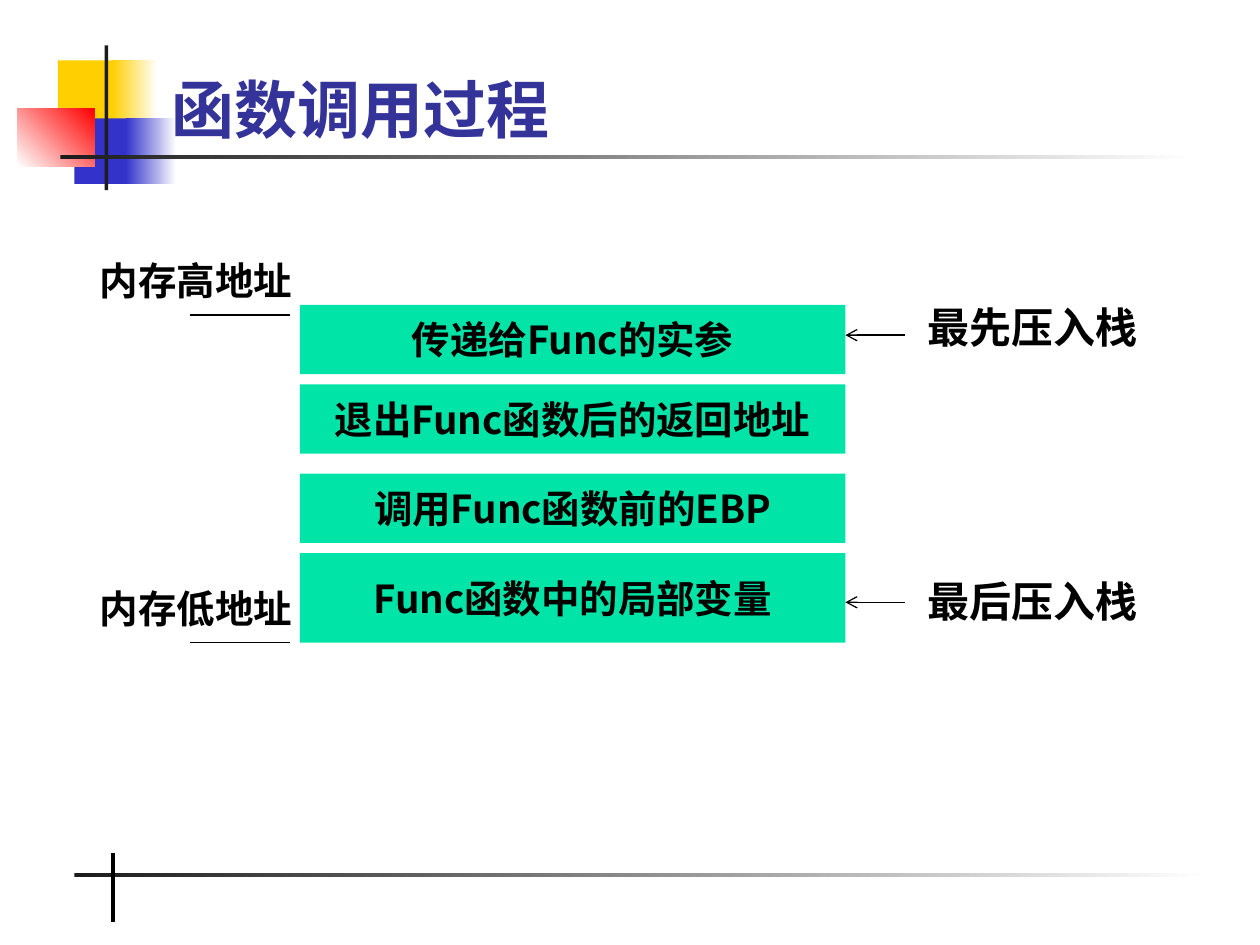
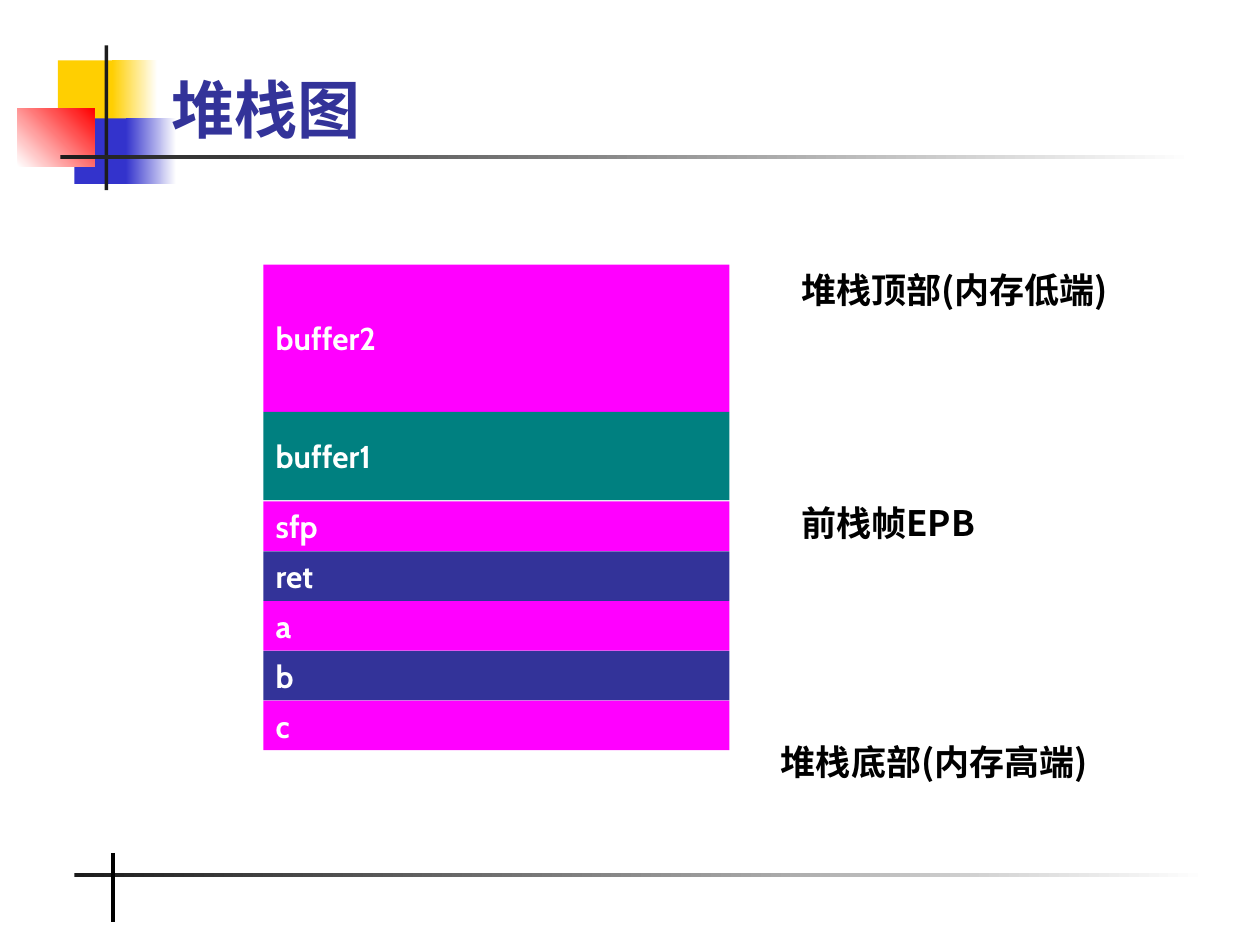
from lxml import etree
from pptx import Presentation
from pptx import util as u
from pptx.dml import color
from pptx.enum import shapes, text
from pptx.oxml import ns

C = {
    "white": "FFFFFF", "black": "000000", "ink": "1C1C1C", "yellow": "FFCF01",
    "blue": "3333CC", "red": "FF0000", "navy": "333399", "mint": "00E4A8",
    "magenta": "FF00FF", "teal": "008080",
}
CJK = "Noto Sans CJK SC"
LATIN = "Cabin"
TITLE_FONT = "Times New Roman"
COLS, ROWS = 100, 75
CELL = u.Inches(10) // COLS
LEFT, CENTER = text.PP_ALIGN.LEFT, text.PP_ALIGN.CENTER
TOP, MIDDLE = text.MSO_ANCHOR.TOP, text.MSO_ANCHOR.MIDDLE


def cells(*counts):
    """Turn grid cells into lengths."""
    return [u.Emu(round(n * CELL)) for n in counts]


def rgb(name):
    """Look up a named colour."""
    return color.RGBColor.from_string(C[name])


def write(shape, words, size, font, ink="black", align=LEFT, anchor=TOP, wrap=True):
    """Put one bold line of text into a shape."""
    tf = shape.text_frame
    tf.word_wrap = wrap
    tf.vertical_anchor = anchor
    p = tf.paragraphs[0]
    p.alignment = align
    r = p.add_run()
    r.text = words
    r.font.size, r.font.bold, r.font.name = u.Pt(size), True, font
    r.font.color.rgb = rgb(ink)
    ea = etree.SubElement(r.font._element, ns.qn("a:ea"))
    ea.set("typeface", CJK)


def block(s, box, fill, fade=None, angle=0):
    """Draw a borderless rectangle, plain or fading to a second colour."""
    sp = s.shapes.add_shape(shapes.MSO_SHAPE.RECTANGLE, *cells(*box))
    sp.shadow.inherit = False
    sp.line.fill.background()
    if fade:
        sp.fill.gradient()
        sp.fill.gradient_angle = angle
        for stop, name in zip(sp.fill.gradient_stops, (fill, fade)):
            stop.color.rgb = rgb(name)
    else:
        sp.fill.solid()
        sp.fill.fore_color.rgb = rgb(fill)
    return sp


def line(s, start, end, width=0.75, arrow=False):
    """Draw a black line, with an open arrowhead at its end if asked."""
    sp = s.shapes.add_connector(shapes.MSO_CONNECTOR.STRAIGHT, *cells(*start, *end))
    sp.line.width = u.Pt(width)
    sp.line.color.rgb = rgb("black")
    if arrow:
        ln = sp.line._get_or_add_ln()
        etree.SubElement(ln, ns.qn("a:tailEnd")).set("type", "arrow")
    etree.SubElement(sp.element.spPr, ns.qn("a:effectLst"))


def label(s, box, words, size, font=CJK, **style):
    """Add a text box."""
    write(s.shapes.add_textbox(*cells(*box)), words, size, font, **style)


def emblem(s, box):
    """Draw the coloured squares and the cross beside the title."""
    x, y, w, h = box
    for dx, dy, solid, faded, name in ((3.2, 1.2, 4.8, 3.6, "yellow"),
                                       (4.5, 5.8, 4.6, 4.0, "blue")):
        block(s, (x + dx, y + dy, solid, 5.2), name)
        block(s, (x + dx + solid - 0.5, y + dy, faded, 5.2), name, "white")
    block(s, (x, y + 5, 6.1, 4.6), "white", "red", 45)
    block(s, (x + 6.9, y, 0.3, h), "ink")
    block(s, (x + 3.4, y + 8.7, w, 0.3), "ink", "white")


def footer(s, box):
    """Draw the fading rule and its upright at the foot."""
    x, y, w, h = box
    block(s, (x, y + 1.6, w, 0.3), "ink", "white")
    line(s, (x + 3.1, y), (x + 3.1, y + h), 2.25)


def new_slide(prs, words):
    """Start a slide with its title and shared decoration."""
    s = prs.slides.add_slide(prs.slide_layouts[5])
    emblem(s, (1.4, 3.6, 90, 11.5))
    footer(s, (5.9, 67.7, 90, 5.5))
    title = s.shapes.title
    title.left, title.top, title.width, title.height = cells(12.6, 1.6, 85.2, 10.5)
    write(title, words, 36, TITLE_FONT, "navy", anchor=text.MSO_ANCHOR.BOTTOM)
    s.shapes.element.append(title.element)
    return s


def stack(s, box, rows, **style):
    """Pile up rows of gap, height, fill and words from the top of a box."""
    x, y, w = box
    for gap, height, fill, words in rows:
        y += gap
        write(block(s, (x, y, w, height), fill), words, anchor=MIDDLE, **style)
        y += height


def memory_end(s, box, words):
    """Name one end of memory above a short rule."""
    x, y, w, h = box
    line(s, (x + 10.2, y + h), (x + 18.1, y + h))
    label(s, box, words, 22, align=CENTER, anchor=MIDDLE, wrap=False)


def push_note(s, box, arrow_y, words):
    """Point from a note on the right to a stack row."""
    x, y, w, h = box
    line(s, (x - 0.8, arrow_y), (x - 5.5, arrow_y), arrow=True)
    label(s, box, words, 24, LATIN)


def call_slide(prs):
    """Build the function call slide."""
    s = new_slide(prs, "函数调用过程")
    rows = ((0, 5.5, "传递给Func的实参"), (0.8, 5.5, "退出Func函数后的返回地址"),
            (1.6, 5.5, "调用Func函数前的EBP"), (0.8, 7.1, "Func函数中的局部变量"))
    stack(s, (23.8, 24.2, 43.3), [(gap, height, "mint", words) for gap, height, words in rows],
          size=22, font=CJK, align=CENTER, wrap=False)
    for y, words in ((19.5, "内存高地址"), (45.5, "内存低地址")):
        memory_end(s, (4.9, y, 21.3, 5.5), words)
    for y, arrow_y, words in ((23.4, 26.6, "最先压入栈"), (45.2, 47.8, "最后压入栈")):
        push_note(s, (72.6, y, 20.3, 5), arrow_y, words)


def stack_slide(prs):
    """Build the stack layout slide."""
    s = new_slide(prs, "堆栈图")
    rows = [(0, 11.7, "magenta", "buffer2"), (0, 7, "teal", "buffer1")]
    for i, words in enumerate(("sfp", "ret", "a", "b", "c")):
        rows.append((0 if i else 0.1, 3.95, ("magenta", "navy")[i % 2], words))
    stack(s, (20.9, 21, 37), rows, size=18, font=LATIN, ink="white")
    for x, y, w, words in ((62.6, 20.8, 26.8, "堆栈顶部(内存低端)"),
                           (62.6, 39.3, 29.6, "前栈帧EPB"),
                           (61, 58.3, 29.6, "堆栈底部(内存高端)")):
        label(s, (x, y, w, 4.3), words, 20)


def main():
    """Build and save the deck."""
    prs = Presentation()
    prs.slide_width, prs.slide_height = cells(COLS, ROWS)
    call_slide(prs)
    stack_slide(prs)
    prs.save("out.pptx")


if __name__ == "__main__":
    main()
